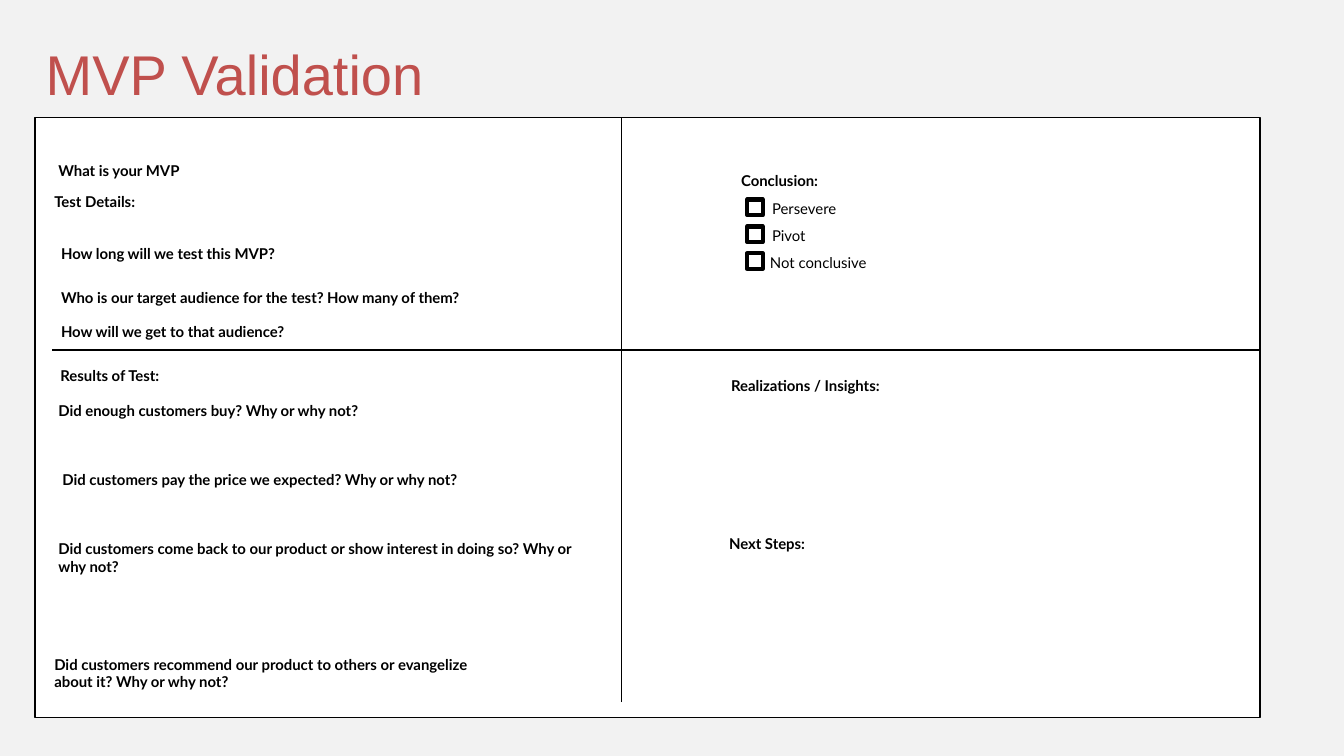
from pptx import Presentation
from pptx.dml.color import RGBColor
from pptx.enum.shapes import MSO_CONNECTOR, MSO_SHAPE
from pptx.enum.text import MSO_ANCHOR, MSO_AUTO_SIZE
from pptx.oxml.ns import qn
from pptx.util import Inches, Pt
from lxml import etree

COLORS = {"background": "F2F2F2", "panel": "FFFFFF", "ink": "000000", "title": "C0504D"}
FORMATS = {
    "title": {"name": "Arial", "size": Pt(60), "bold": False},
    "heading": {"name": "Lato", "size": Pt(16), "bold": True},
    "option": {"name": "Lato", "size": Pt(16), "bold": False},
}

LEFT, TOP, WIDTH, HEIGHT = 0.52, 1.75, 18.23, 8.93
RIGHT = LEFT + WIDTH
LINE_HEIGHT = 0.37

# left, top, width, text
HEADINGS = [
    (0.77, 2.36, 3.61, "What is your MVP"),
    (0.71, 2.82, 3.61, "Test Details:"),
    (0.81, 3.59, 4.39, "How long will we test this MVP?"),
    (0.81, 4.24, 8.03, "Who is our target audience for the test? How many of them?"),
    (0.81, 4.75, 4.66, "How will we get to that audience?"),
    (0.8, 5.41, 3.61, "Results of Test:"),
    (0.77, 5.93, 5.74, "Did enough customers buy? Why or why not?"),
    (0.83, 6.95, 7.76, "Did customers pay the price we expected? Why or why not?"),
    (10.93, 2.51, 3.61, "Conclusion:"),
    (10.78, 5.55, 3.61, "Realizations / Insights:"),
    (10.75, 7.9, 5.09, "Next Steps:"),
]
LONG_QUESTIONS = [
    (0.77, 7.98, 7.9, "Did customers come back to our product or show interest in doing so? "
                      "Why or why not?"),
    (0.71, 9.7, 6.91, "Did customers recommend our product to others or evangelize about it? "
                      "Why or why not?"),
]
# left, width, text
OPTIONS = [(11.39, 1.42, "Persevere"), (11.39, 0.88, "Pivot"), (11.36, 2.09, "Not conclusive")]
OPTION_TOP, OPTION_STEP = 2.92, 0.4


def rgb(color):
    return RGBColor.from_string(COLORS[color])


class SlideBuilder:
    """Holds the current slide and draws each kind of element in its style."""

    def __init__(self, slide):
        self.slide = slide
        fill = slide.background.fill
        fill.solid()
        fill.fore_color.rgb = rgb("background")

    def rectangle(self, left, top, width, height, line_width, fill=None):
        shape = self.slide.shapes.add_shape(
            MSO_SHAPE.RECTANGLE, Inches(left), Inches(top), Inches(width), Inches(height))
        shape.shadow.inherit = False
        if fill:
            shape.fill.solid()
            shape.fill.fore_color.rgb = rgb(fill)
        else:
            shape.fill.background()
        shape.line.color.rgb = rgb("ink")
        shape.line.width = Pt(line_width)

    def divider(self, start_x, start_y, end_x, end_y):
        connector = self.slide.shapes.add_connector(
            MSO_CONNECTOR.STRAIGHT,
            Inches(start_x), Inches(start_y), Inches(end_x), Inches(end_y))
        connector.line.color.rgb = rgb("ink")
        connector.line.width = Pt(1.5)
        etree.SubElement(connector._element.spPr, qn("a:effectLst"))

    def text(self, left, top, width, height, text, style, color="ink"):
        shape = self.slide.shapes.add_textbox(
            Inches(left), Inches(top), Inches(width), Inches(height))
        frame = shape.text_frame
        frame.word_wrap = True
        frame.auto_size = MSO_AUTO_SIZE.SHAPE_TO_FIT_TEXT
        run = frame.paragraphs[0].add_run()
        run.text = text
        for attribute, value in FORMATS[style].items():
            setattr(run.font, attribute, value)
        run.font.color.rgb = rgb(color)
        return frame

    def title(self, text):
        frame = self.text(0.41, 0.29, 16.5, 1.38, text, "title", "title")
        frame.auto_size = MSO_AUTO_SIZE.NONE
        frame.vertical_anchor = MSO_ANCHOR.MIDDLE
        frame.margin_left, frame.margin_right = Inches(0.27), Inches(0.15)
        frame.margin_top = frame.margin_bottom = Inches(0.07)
        frame.paragraphs[0].line_spacing = Pt(87.5)

    def checkbox(self, left, top, width, text):
        self.rectangle(11.12, top + 0.05, 0.23, 0.23, 4.5)
        self.text(left, top, width, LINE_HEIGHT, text, "option")


def main():
    presentation = Presentation()
    presentation.slide_width = Inches(20)
    presentation.slide_height = Inches(11.25)
    builder = SlideBuilder(presentation.slides.add_slide(presentation.slide_layouts[6]))

    builder.title("MVP Validation")
    builder.rectangle(LEFT, TOP, WIDTH, HEIGHT, 1.5, "panel")
    builder.divider(9.25, 10.45, 9.25, TOP)
    builder.divider(0.78, 5.21, RIGHT, 5.21)
    for left, top, width, text in HEADINGS:
        builder.text(left, top, width, LINE_HEIGHT, text, "heading")
    for left, top, width, text in LONG_QUESTIONS:
        builder.text(left, top, width, 0.64, text, "heading")
    for index, (left, width, text) in enumerate(OPTIONS):
        builder.checkbox(left, OPTION_TOP + index * OPTION_STEP, width, text)

    presentation.save("out.pptx")


if __name__ == "__main__":
    main()
